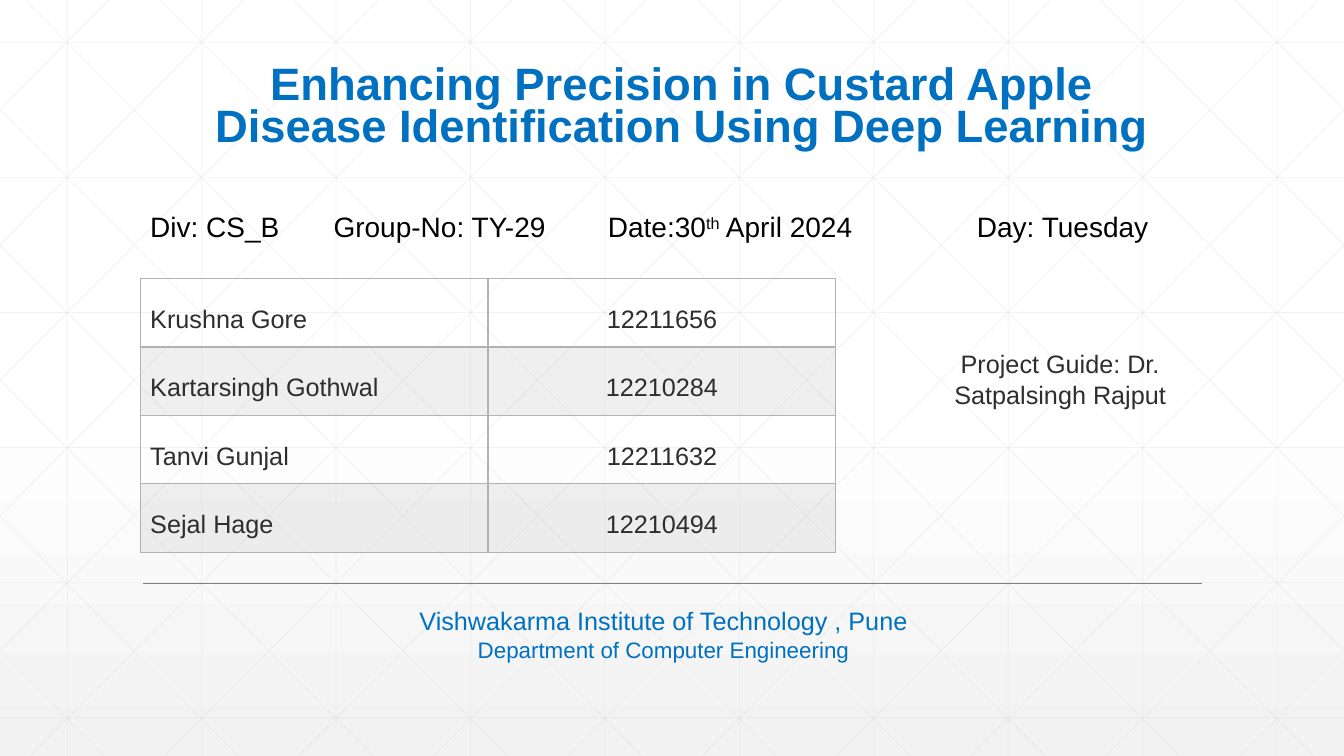
from pptx import Presentation, oxml
from pptx.dml.color import RGBColor
from pptx.enum import shapes, text
from pptx.oxml import ns
from pptx.util import Inches, Pt

WHITE = RGBColor(0xFF, 0xFF, 0xFF)
PALE = RGBColor(0xF2, 0xF2, 0xF2)
GRID = RGBColor(0xD9, 0xD9, 0xD9)
RULE = RGBColor(0x80, 0x80, 0x80)
BORDER = RGBColor(0xB2, 0xB2, 0xB2)
BLUE = RGBColor(0x00, 0x70, 0xC0)
BLACK = RGBColor(0x00, 0x00, 0x00)
INK = RGBColor(0x2D, 0x2E, 0x2D)
FONT = "Arial"
WIDTH, HEIGHT = 13.33, 7.5

TITLE = "Enhancing Precision in Custard Apple\vDisease Identification Using Deep Learning"
DETAILS = ["Div: CS_B\tGroup-No: TY-29\tDate:30", "th", " April 2024\tDay: Tuesday"]
DETAIL_TABS = [1.82, 4.54, 8.2]
MEMBERS = [
    ("Krushna Gore", "12211656"),
    ("Kartarsingh Gothwal", "12210284"),
    ("Tanvi Gunjal", "12211632"),
    ("Sejal Hage", "12210494"),
]
GUIDE = [("Project Guide: Dr. Satpalsingh Rajput", 18)]
INSTITUTE = [("Vishwakarma Institute of Technology , Pune", 18),
             ("Department of Computer Engineering", 16)]

CENTER = text.PP_ALIGN.CENTER


def add_alpha(fill_parent, percent):
    """Make the solid fill colour inside an element see-through."""
    color = fill_parent.find(".//" + ns.qn("a:srgbClr"))
    oxml.parse_xml  # XML helpers share the same namespace table
    color.append(oxml.parse_xml(f'<a:alpha {ns.nsdecls("a")} val="{percent * 1000}"/>'))


def add_line(slide, start, end, color, width, alpha=None):
    ends = [Inches(value) for value in (*start, *end)]
    line = slide.shapes.add_connector(shapes.MSO_CONNECTOR.STRAIGHT, *ends)
    line.line.color.rgb = color
    line.line.width = Pt(width)
    properties = line._element.spPr
    if alpha:
        add_alpha(properties, alpha)
    properties.append(oxml.parse_xml(f'<a:effectLst {ns.nsdecls("a")}/>'))


def style(para, size, color, bold=False):
    for span in para.runs:
        span.font.name = FONT
        span.font.size = Pt(size)
        span.font.bold = bold
        span.font.color.rgb = color


def add_text(slide, place, lines, color):
    box = slide.shapes.add_textbox(*[Inches(value) for value in place])
    frame = box.text_frame
    frame.word_wrap = True
    frame.text = "\n".join(line for line, _ in lines)
    for para, (_, size) in zip(frame.paragraphs, lines):
        para.alignment = CENTER
        style(para, size, color)


def add_background(slide):
    fill = slide.background.fill
    fill.gradient()
    fill.gradient_angle = 270
    for stop, color, position in zip(fill.gradient_stops, (WHITE, PALE), (0.53, 1)):
        stop.color.rgb = color
        stop.position = position

    step, run = 4 / 3, 7.45
    lines = [((x, 0), (x, HEIGHT)) for x in (2 / 3 + step * i for i in range(10))]
    lines += [((0, y), (WIDTH, y)) for y in (0.42 + 1.34 * i for i in range(6))]
    for i in range(-5, 10):
        top = 0.25 + step * i
        left, right = max(top, 0), min(top + run, WIDTH)
        y_left, y_right = [(x - top) * HEIGHT / run for x in (left, right)]
        lines.append(((left, y_left), (right, y_right)))
        lines.append(((WIDTH - left, y_left), (WIDTH - right, y_right)))
    for start, end in lines:
        add_line(slide, start, end, GRID, 0.5, 35)


def add_title(slide):
    title = slide.shapes.title
    slide.shapes._spTree.append(title._element)
    title.left, title.top, title.width, title.height = map(Inches, (1.51, 0.36, 10.5, 1.44))
    frame = title.text_frame
    frame.text = TITLE
    frame.vertical_anchor = text.MSO_ANCHOR.MIDDLE
    para = frame.paragraphs[0]
    para.alignment = CENTER
    para.line_spacing = 0.78
    style(para, 32.4, BLUE, bold=True)


def add_details(slide):
    box = slide.shapes.add_textbox(*map(Inches, (1.39, 1.8, 10.5, 0.75)))
    frame = box.text_frame
    frame.word_wrap = True
    frame.margin_top = Inches(0.28)
    para = frame.paragraphs[0]
    for part in DETAILS:
        para.add_run().text = part
    style(para, 20, BLACK)
    para.runs[1].font._element.set("baseline", "30000")
    tabs = "".join(f'<a:tab pos="{Inches(x)}" algn="l"/>' for x in DETAIL_TABS)
    para._p.get_or_add_pPr().append(
        oxml.parse_xml(f'<a:tabLst {ns.nsdecls("a")}>{tabs}</a:tabLst>'))


def add_borders(cell, widths):
    for side, width in widths.items():
        cell._tc.get_or_add_tcPr().append(oxml.parse_xml(
            f'<a:ln{side} {ns.nsdecls("a")} w="{Pt(width)}"><a:solidFill>'
            f'<a:srgbClr val="{BORDER}"/></a:solidFill></a:ln{side}>'))


def add_members(slide):
    table = slide.shapes.add_table(
        len(MEMBERS), 2, *map(Inches, (1.39, 2.76, 6.9, 2.72))).table
    table.first_row = table.horz_banding = False
    for row, member in enumerate(MEMBERS):
        for column, value in enumerate(member):
            cell = table.cell(row, column)
            cell.text = value
            cell.vertical_anchor = text.MSO_ANCHOR.MIDDLE
            para = cell.text_frame.paragraphs[0]
            para.line_spacing = 1.5
            para.alignment = CENTER if column else text.PP_ALIGN.LEFT
            style(para, 18, INK)
            add_borders(cell, {"L": 1, "R": 1, "T": 2 if row == 1 else 1,
                               "B": 2 if row == 0 else 1})
            if row % 2:
                cell.fill.solid()
                cell.fill.fore_color.rgb = BORDER
                add_alpha(cell._tc.tcPr.find(ns.qn("a:solidFill")), 20)
            else:
                cell.fill.background()


def main():
    deck = Presentation()
    deck.slide_width, deck.slide_height = Inches(WIDTH), Inches(HEIGHT)
    slide = deck.slides.add_slide(deck.slide_layouts[5])
    add_background(slide)
    add_line(slide, (1.42, 5.79), (11.92, 5.79), RULE, 1)
    add_title(slide)
    add_details(slide)
    add_members(slide)
    add_text(slide, (9.15, 3.41, 2.73, 0.71), GUIDE, INK)
    add_text(slide, (1.39, 5.96, 10.38, 0.67), INSTITUTE, BLUE)
    deck.save("out.pptx")


if __name__ == "__main__":
    main()
